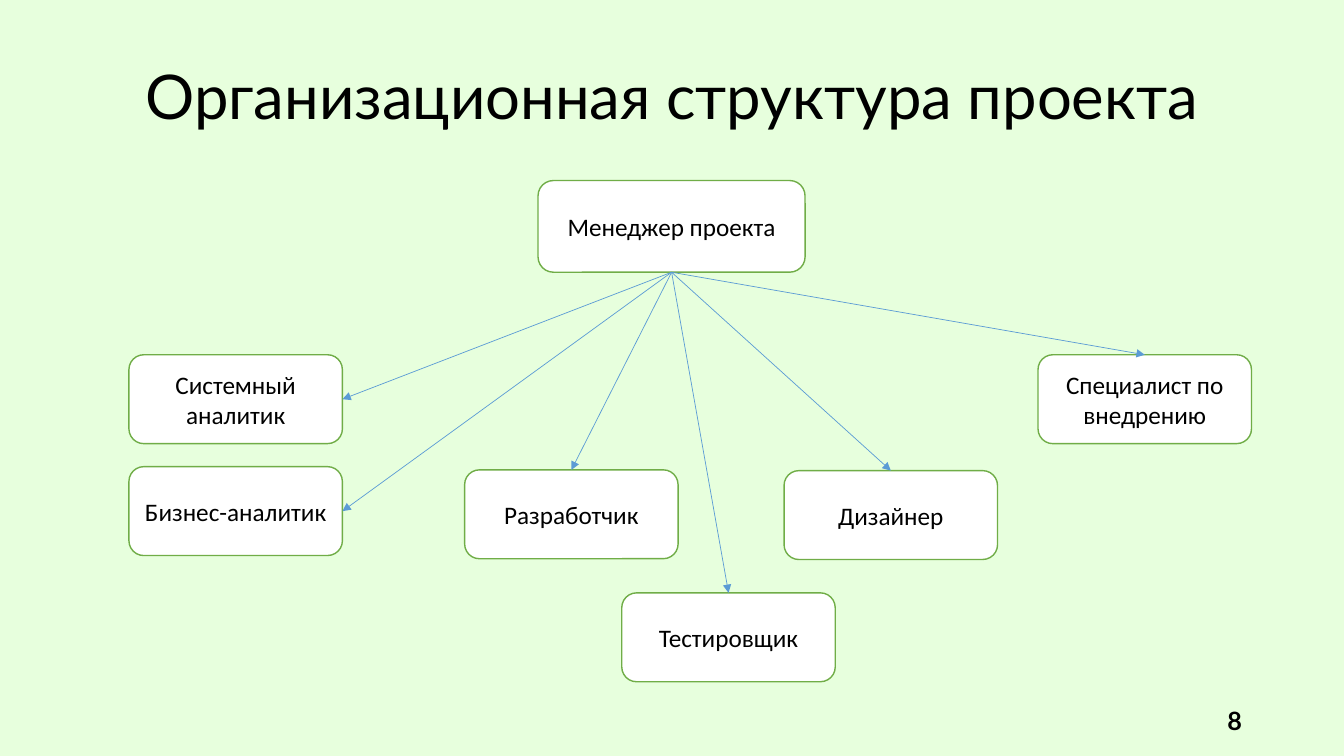
from dataclasses import dataclass

from lxml.etree import SubElement
from pptx import Presentation
from pptx.dml.color import RGBColor
from pptx.enum.shapes import MSO_CONNECTOR as Link, MSO_SHAPE as Form
from pptx.enum.text import MSO_ANCHOR as Anchor, MSO_AUTO_SIZE as Fit, PP_ALIGN as Align
from pptx.oxml.ns import qn
from pptx.shapes.autoshape import Shape
from pptx.slide import Slide
from pptx.text.text import TextFrame
from pptx.util import Cm, Pt

BOTTOM, RIGHT, TOP = 2, 3, 0


@dataclass(frozen=True)
class Theme:
    back: str = "E7FFDD"
    ink: str = "000000"
    fill: str = "FFFFFF"
    edge: str = "70AD47"
    arrow: str = "5B9BD5"
    head: str = "Lato"
    body: str = "Calibri"
    title: int = 44
    text: int = 18


@dataclass(frozen=True)
class Role:
    name: str
    left: float
    top: float
    side: int = TOP
    width: float = 5.38
    height: float = 2.24


THEME = Theme()
BOSS = Role("Менеджер проекта", 13.56, 4.55, width=6.73, height=2.31)
TEAM = [
    Role("Системный аналитик", 3.25, 8.94, RIGHT),
    Role("Бизнес-аналитик", 3.25, 11.76, RIGHT),
    Role("Разработчик", 11.71, 11.84),
    Role("Дизайнер", 19.76, 11.86),
    Role("Тестировщик", 15.67, 14.94),
    Role("Специалист по внедрению", 26.16, 8.94),
]


def color(code: str) -> RGBColor:
    return RGBColor.from_string(code)


def write(frame: TextFrame, text: str, *, font: str = THEME.body,
          size: int = THEME.text, bold: bool = False,
          align: Align = Align.CENTER, space: float = 1.0) -> None:
    frame.word_wrap = True
    frame.auto_size = Fit.NONE
    frame.vertical_anchor = Anchor.MIDDLE
    para = frame.paragraphs[0]
    para.alignment = align
    para.line_spacing = space
    run = para.add_run()
    run.text = text
    run.font.name = font
    run.font.size = Pt(size)
    run.font.bold = bold
    run.font.color.rgb = color(THEME.ink)


def draw_role(slide: Slide, role: Role) -> Shape:
    box = slide.shapes.add_shape(Form.ROUNDED_RECTANGLE, Cm(role.left), Cm(role.top),
                                 Cm(role.width), Cm(role.height))
    box.shadow.inherit = False
    box.fill.solid()
    box.fill.fore_color.rgb = color(THEME.fill)
    box.line.color.rgb = color(THEME.edge)
    box.line.width = Pt(1)
    frame = box.text_frame
    frame.margin_left = frame.margin_right = Cm(0.2)
    write(frame, role.name)
    return box


def draw_arrow(slide: Slide, start: Shape, end: Shape, side: int) -> None:
    """Run an arrow from the bottom of start to the given side of end."""
    line = slide.shapes.add_connector(Link.STRAIGHT, 0, 0, 0, 0)
    line.begin_connect(start, BOTTOM)
    line.end_connect(end, side)
    line.line.color.rgb = color(THEME.arrow)
    line.line.width = Pt(0.5)
    SubElement(line.line._get_or_add_ln(), qn("a:tailEnd"), type="triangle")
    SubElement(line._element.spPr, qn("a:effectLst"))


def main() -> None:
    deck = Presentation()
    deck.slide_width, deck.slide_height = Cm(33.87), Cm(19.05)
    slide = deck.slides.add_slide(deck.slide_layouts[5])
    slide.background.fill.solid()
    slide.background.fill.fore_color.rgb = color(THEME.back)

    title = slide.shapes.title
    title.left, title.top = Cm(2.34), Cm(0.66)
    title.width, title.height = Cm(29.21), Cm(3.68)
    write(title.text_frame, "Организационная структура проекта",
          font=THEME.head, size=THEME.title, space=0.9)

    page = slide.shapes.add_textbox(Cm(23.93), Cm(17.65), Cm(7.62), Cm(1.02))
    write(page.text_frame, "8", font=THEME.head, bold=True, align=Align.RIGHT)

    boss = draw_role(slide, BOSS)
    boxes = [draw_role(slide, role) for role in TEAM]
    for role, box in zip(TEAM, boxes):
        draw_arrow(slide, boss, box, role.side)

    deck.save("out.pptx")


if __name__ == "__main__":
    main()
